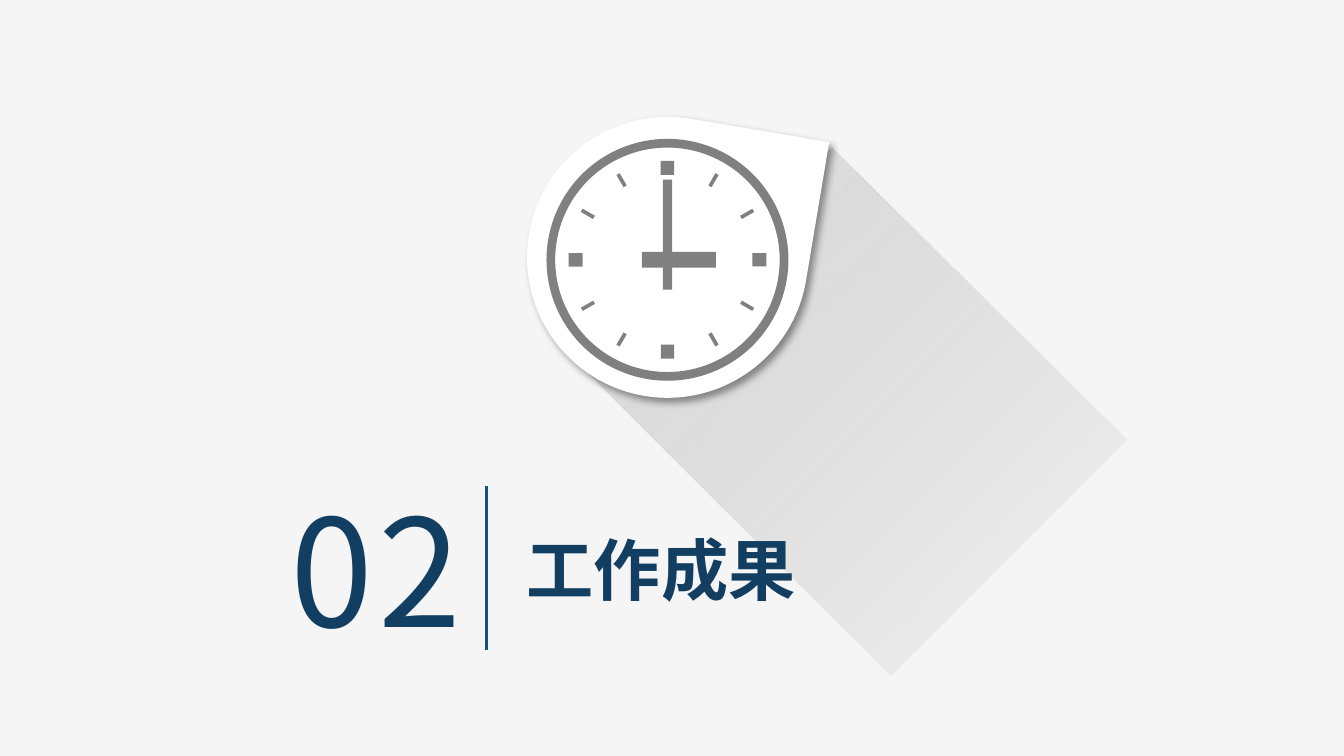
from dataclasses import dataclass
from math import cos, radians, sin

from lxml import etree
from pptx import Presentation
from pptx.dml.color import RGBColor
from pptx.enum.shapes import MSO_CONNECTOR, MSO_SHAPE
from pptx.enum.text import MSO_ANCHOR, MSO_AUTO_SIZE, PP_ALIGN
from pptx.oxml.ns import qn
from pptx.util import Pt

RECT, DONUT, TEAR = MSO_SHAPE.RECTANGLE, MSO_SHAPE.DONUT, MSO_SHAPE.TEAR
LINE = MSO_CONNECTOR.STRAIGHT
MIDDLE, TOP = MSO_ANCHOR.MIDDLE, MSO_ANCHOR.TOP
FIXED = MSO_AUTO_SIZE.NONE
LEFT = PP_ALIGN.LEFT


@dataclass(frozen=True)
class Theme:
    back: str = "F5F5F6"
    pin: str = "FFFFFF"
    dial: str = "808080"
    pale: str = "D9D9D9"
    dark: str = "BFBFBF"
    ink: str = "123E61"
    rule: str = "18507E"
    font: str = "Noto Sans CJK SC"
    big: int = 80
    head: int = 36


theme = Theme()


def add_form(home, kind, x, y, wide, high, color, turn=0):
    form = home.shapes.add_shape(
        kind, Pt(x - wide / 2), Pt(y - high / 2), Pt(wide), Pt(high))
    form.shadow.inherit = False
    form.fill.solid()
    form.fill.fore_color.rgb = RGBColor.from_string(color)
    form.line.fill.background()
    form.rotation = turn
    return form


def set_text(box, text, place, frame, size, bold):
    for name, value in zip(("left", "top", "width", "height"), place):
        setattr(box, name, Pt(value))
    body = box.text_frame
    for name, value in frame.items():
        setattr(body, name, value)
    para = body.paragraphs[0]
    para.alignment = LEFT
    run = para.add_run()
    run.text = text
    look = {"name": theme.font, "size": Pt(size), "bold": bold}
    for name, value in look.items():
        setattr(run.font, name, value)
    run.font.color.rgb = RGBColor.from_string(theme.ink)
    props = run._r.get_or_add_rPr()
    etree.SubElement(props, qn("a:ea"), typeface=theme.font)
    return props


deck = Presentation()
deck.slide_width, deck.slide_height = Pt(720), Pt(405)
slide = deck.slides.add_slide(deck.slide_layouts[5])
slide.background.fill.solid()
slide.background.fill.fore_color.rgb = RGBColor.from_string(theme.back)

pen = slide.shapes.build_freeform(365.1, 91.1, scale=Pt(1))
pen.add_line_segments([(543.3, 111.5), (544.3, 334.5), (365.1, 334.5)])
shade = pen.convert_to_shape()
shade.rotation = 315
shade.shadow.inherit = False
shade.line.fill.background()
shade.fill.gradient()
shade.fill.gradient_angle = 270
for stop, color in zip(shade.fill.gradient_stops, (theme.pale, theme.dark)):
    stop.color.rgb = RGBColor.from_string(color)
end = shade.element.xpath(".//a:gs[last()]/a:srgbClr")[0]
etree.SubElement(end, qn("a:alpha"), val="0")

mid_x, mid_y = 357.6, 139.2
pin = add_form(slide, TEAR, mid_x, 137.9, 150.5, 150.5, theme.pin, 9.5)
glow = pin.element.spPr.find(qn("a:effectLst"))
cast = etree.SubElement(glow, qn("a:outerShdw"), blurRad=str(Pt(4)),
                        dist=str(Pt(3)), dir="2700000", rotWithShape="0")
tone = etree.SubElement(cast, qn("a:srgbClr"), val="000000")
etree.SubElement(tone, qn("a:alpha"), val="40000")

clock = slide.shapes.add_group_shape()
ring = add_form(clock, DONUT, mid_x, mid_y, 129.6, 129.6, theme.dial)
ring.adjustments[0] = 0.036
for hour in range(12):
    turn = hour * 30
    wide, high = (2, 7.6) if hour % 3 else (7.2, 7.6)
    x = mid_x + 49.2 * sin(radians(turn))
    y = mid_y - 49.2 * cos(radians(turn))
    add_form(clock, RECT, x, y, wide, high, theme.dial, turn)
add_form(clock, RECT, mid_x, 125.7, 5, 59, theme.dial)
add_form(clock, RECT, 363.7, mid_y, 8.4, 39.6, theme.dial, 90)

number = slide.shapes.add_textbox(0, 0, 0, 0)
frame = {
    "word_wrap": True, "auto_size": FIXED, "vertical_anchor": MIDDLE,
    "margin_left": Pt(5), "margin_right": Pt(5),
    "margin_top": Pt(3), "margin_bottom": Pt(3),
}
props = set_text(number, "02", (150.5, 258.8, 112.3, 90.7), frame,
                 theme.big, False)
props.set("spc", "300")

title = slide.shapes.title
frame = {"word_wrap": False, "auto_size": FIXED, "vertical_anchor": TOP,
         "margin_right": Pt(0)}
set_text(title, "工作成果", (275, 279.2, 158.4, 51.1), frame, theme.head, True)
title.element.getparent().append(title.element)

rule = slide.shapes.add_connector(LINE, Pt(260.6), Pt(260.6), Pt(260.6), Pt(348.5))
rule.line.color.rgb = RGBColor.from_string(theme.rule)
rule.line.width = Pt(1.5)
etree.SubElement(rule.element.spPr, qn("a:effectLst"))

deck.save("out.pptx")
